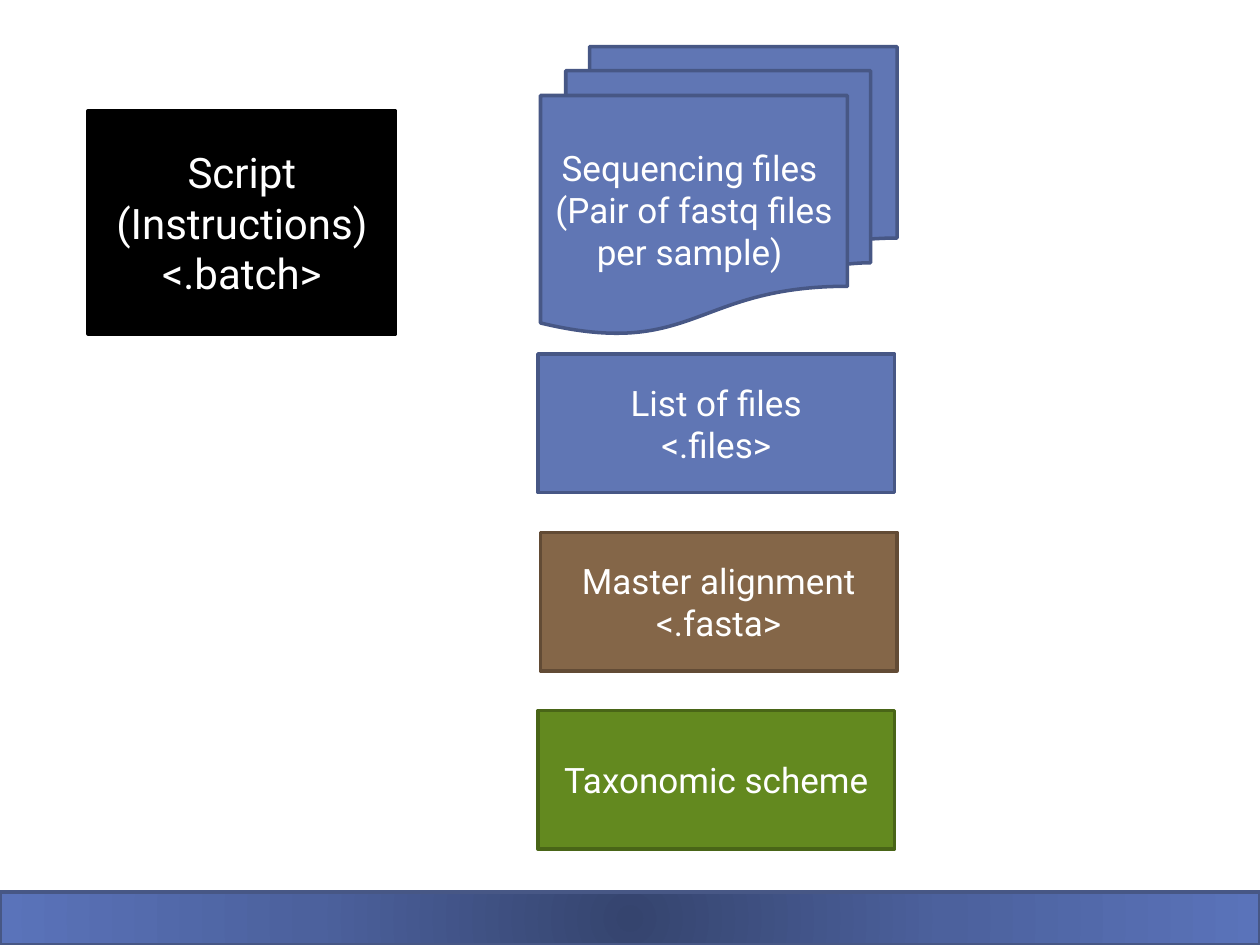
from dataclasses import dataclass

from lxml import etree
from pptx import Presentation
from pptx import util as u
from pptx.dml.color import RGBColor
from pptx.enum import shapes, text
from pptx.oxml import ns
from pptx.shapes.autoshape import Shape


@dataclass(frozen=True)
class Theme:
    font: str = "Roboto"
    white: str = "FFFFFF"
    black: str = "000000"
    blue: str = "6076B4"
    blue_edge: str = "475785"
    brown: str = "846648"
    brown_edge: str = "624B35"
    green: str = "63891F"
    green_edge: str = "496517"
    glow: tuple[str, ...] = ("35446E", "4C619D", "5A73BA")
    large: int = 24
    normal: int = 20
    line: int = 2


@dataclass(frozen=True)
class Box:
    label: str
    left: float
    top: float
    width: float
    height: float
    fill: str
    edge: str
    size: int = Theme.normal
    kind: shapes.MSO_SHAPE = shapes.MSO_SHAPE.RECTANGLE


THEME = Theme()
INPUT_WIDTH, INPUT_HEIGHT = 2.83, 1.1
FIRST_TOP, INPUT_STEP = 2.81, 1.415


def draw_box(page, box: Box) -> Shape:
    """Draw an outlined shape with centred white text."""
    shape = page.shapes.add_shape(
        box.kind, u.Inches(box.left), u.Inches(box.top),
        u.Inches(box.width), u.Inches(box.height))
    shape.shadow.inherit = False
    shape.fill.solid()
    shape.fill.fore_color.rgb = RGBColor.from_string(box.fill)
    shape.line.color.rgb = RGBColor.from_string(box.edge)
    shape.line.width = u.Pt(THEME.line)
    frame = shape.text_frame
    frame.text = box.label
    frame.vertical_anchor = text.MSO_ANCHOR.MIDDLE
    for para in frame.paragraphs:
        para.alignment = text.PP_ALIGN.CENTER
        for span in para.runs:
            span.font.name = THEME.font
            span.font.size = u.Pt(box.size)
            span.font.color.rgb = RGBColor.from_string(THEME.white)
    return shape


def set_radial_fill(shape: Shape, colors: tuple[str, ...]) -> None:
    """Replace the fill by evenly spaced colours from the centre outwards."""
    shape.fill.gradient()
    gradient = shape._element.spPr.find(ns.qn("a:gradFill"))
    for child in list(gradient):
        gradient.remove(child)
    stops = etree.SubElement(gradient, ns.qn("a:gsLst"))
    for index, color in enumerate(colors):
        position = 100000 * index // (len(colors) - 1)
        stop = etree.SubElement(stops, ns.qn("a:gs"), pos=str(position))
        etree.SubElement(stop, ns.qn("a:srgbClr"), val=color)
    radial = etree.SubElement(gradient, ns.qn("a:path"), {"path": "circle"})
    sides = {side: "50000" for side in "ltrb"}
    etree.SubElement(radial, ns.qn("a:fillToRect"), sides)


deck = Presentation()
deck.slide_width, deck.slide_height = u.Inches(10), u.Inches(7.5)
page = deck.slides.add_slide(deck.slide_layouts[6])

# Footer band
footer = draw_box(page, Box("", 0, 7.08, 10, 0.42, THEME.blue, THEME.blue_edge))
set_radial_fill(footer, THEME.glow)

# Script and sequencing files
draw_box(page, Box("Script\n(Instructions)\n<.batch>", 0.7, 0.88, 2.44, 1.77,
                   THEME.black, THEME.black, THEME.large))
draw_box(page, Box("Sequencing files \n(Pair of fastq files \nper sample) ",
                   4.29, 0.37, INPUT_WIDTH, 2.28, THEME.blue, THEME.blue_edge,
                   kind=shapes.MSO_SHAPE.FLOWCHART_MULTIDOCUMENT))

# Column of further input files
inputs = (
    ("List of files\n<.files>", 4.27, THEME.blue, THEME.blue_edge),
    ("Master alignment\n<.fasta>", 4.29, THEME.brown, THEME.brown_edge),
    ("Taxonomic scheme", 4.27, THEME.green, THEME.green_edge),
)
for row, (label, left, fill, edge) in enumerate(inputs):
    draw_box(page, Box(label, left, FIRST_TOP + row * INPUT_STEP,
                       INPUT_WIDTH, INPUT_HEIGHT, fill, edge))

deck.save("out.pptx")
